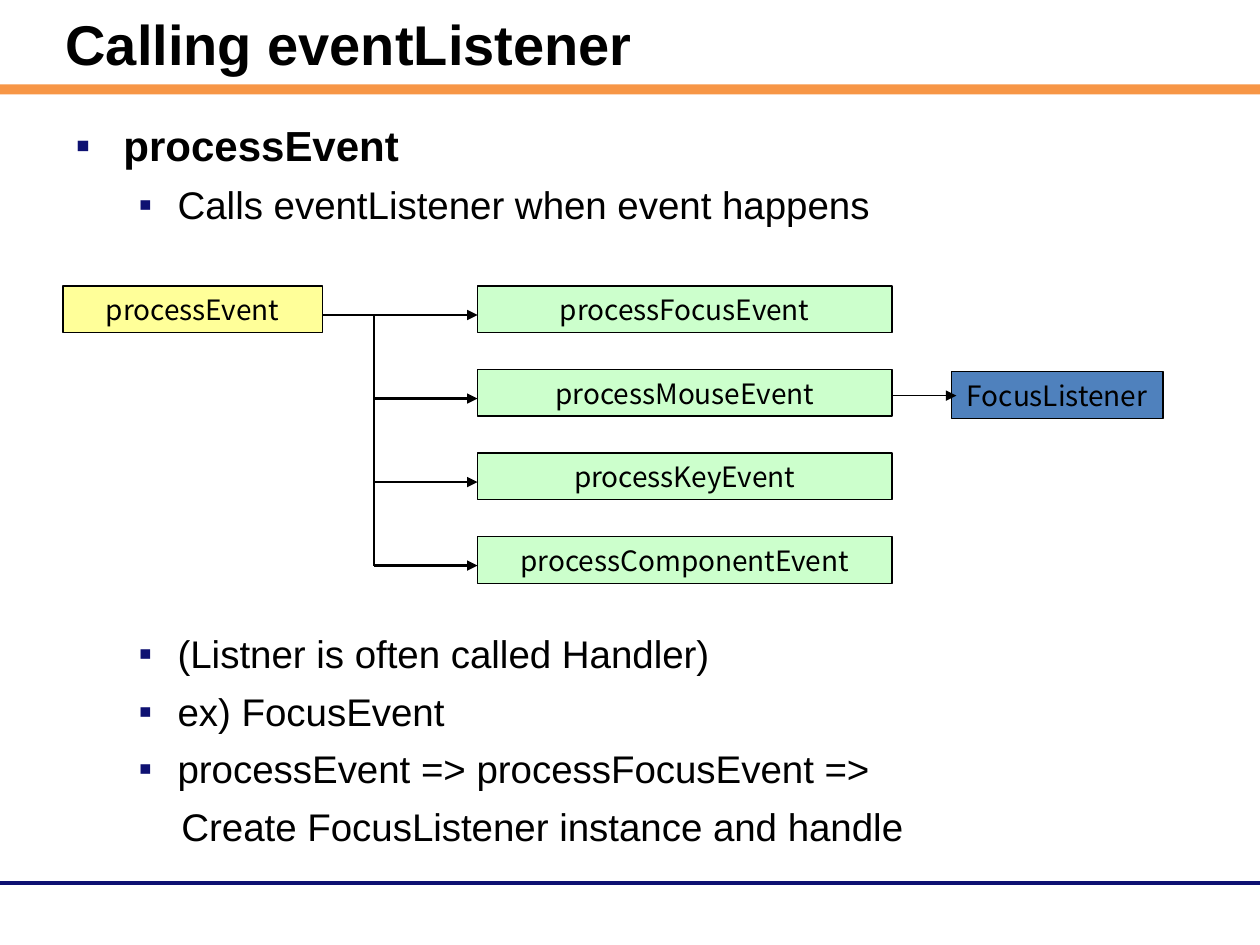
from lxml import etree
from pptx import Presentation
from pptx import util as u
from pptx.dml.color import RGBColor
from pptx.enum import shapes, text
from pptx.oxml.ns import qn
from pptx.util import Inches, Pt

BLACK = RGBColor(0x00, 0x00, 0x00)
NAVY = RGBColor(0x0E, 0x11, 0x72)
ORANGE = RGBColor(0xF7, 0x96, 0x46)
YELLOW = RGBColor(0xFF, 0xFF, 0x99)
GREEN = RGBColor(0xCC, 0xFF, 0xCC)
BLUE = RGBColor(0x4F, 0x81, 0xBD)
TEXT_FONT = "Arial"
DIAGRAM_FONT = "Noto Sans CJK KR"

HANDLERS = ["processFocusEvent", "processMouseEvent",
            "processKeyEvent", "processComponentEvent"]

# wording, level, size, space before, bulleted
DIAGRAM_GAP = 230
POINTS = [
    ("processEvent", 0, 24, 0, True),
    ("Calls eventListener when event happens", 1, 22, 6.5, True),
    ("(Listner is often called Handler)", 1, 22, DIAGRAM_GAP, True),
    ("ex) FocusEvent", 1, 22, 6.5, True),
    ("processEvent => processFocusEvent =>", 1, 22, 6.5, True),
    ("Create FocusListener instance and handle", 1, 22, 6.5, False),
]
INDENTS = [(0.38, -0.38), (0.81, -0.31)]
CONTINUED_INDENT = (0.84, 0)


def place(shape, left, top, width, height):
    shape.left, shape.top = Inches(left), Inches(top)
    shape.width, shape.height = Inches(width), Inches(height)


def style_font(font, name, size, bold=False):
    font.name, font.size, font.bold = name, Pt(size), bold
    font.color.rgb = BLACK


def set_bullet(paragraph, indent, bulleted):
    props = paragraph._p.get_or_add_pPr()
    margin, first_line = indent
    props.set("marL", str(Inches(margin)))
    props.set("indent", str(Inches(first_line)))
    if not bulleted:
        etree.SubElement(props, qn("a:buNone"))
        return
    colour = etree.SubElement(props, qn("a:buClr"))
    etree.SubElement(colour, qn("a:srgbClr"), val=str(NAVY))
    etree.SubElement(props, qn("a:buFont"), typeface=TEXT_FONT)
    etree.SubElement(props, qn("a:buChar"), char="▪")


def add_line(parent, start, end, colour=BLACK, weight=1.5, arrow=False):
    ends = [Inches(value) for value in (*start, *end)]
    line = parent.add_connector(shapes.MSO_CONNECTOR.STRAIGHT, *ends)
    line.line.color.rgb = colour
    line.line.width = Pt(weight)
    if arrow:
        etree.SubElement(line.line._get_or_add_ln(), qn("a:tailEnd"), type="triangle")
    etree.SubElement(line._element.spPr, qn("a:effectLst"))


def add_rect(parent, left, top, width, height, fill):
    rect = parent.add_shape(shapes.MSO_SHAPE.RECTANGLE, Inches(left), Inches(top),
                            Inches(width), Inches(height))
    rect.shadow.inherit = False
    rect.fill.solid()
    rect.fill.fore_color.rgb = fill
    rect.line.fill.background()
    return rect


def add_node(parent, label, left, top, width, height, fill):
    """Outlined diagram box with a centred label."""
    node = add_rect(parent, left, top, width, height, fill)
    node.line.color.rgb = BLACK
    node.line.width = Pt(0.75)
    frame = node.text_frame
    frame.text = label
    frame.word_wrap = False
    frame.vertical_anchor = text.MSO_ANCHOR.MIDDLE
    paragraph = frame.paragraphs[0]
    paragraph.alignment = text.PP_ALIGN.CENTER
    style_font(paragraph.runs[0].font, DIAGRAM_FONT, 16)


def add_frame_lines(slide, width):
    """Orange band under the title and navy rule at the foot."""
    add_line(slide.shapes, (0, 7.01), (width, 7.01), NAVY, 2.25)
    add_rect(slide.shapes, 0, 0.67, width, 0.08, ORANGE)


def fill_title(title, box):
    place(title, *box)
    frame = title.text_frame
    frame.text = "Calling eventListener"
    frame.auto_size = text.MSO_AUTO_SIZE.NONE
    frame.vertical_anchor = text.MSO_ANCHOR.MIDDLE
    paragraph = frame.paragraphs[0]
    paragraph.alignment = text.PP_ALIGN.LEFT
    style_font(paragraph.runs[0].font, TEXT_FONT, 32, bold=True)


def fill_points(body, box):
    place(body, *box)
    frame = body.text_frame
    frame.auto_size = text.MSO_AUTO_SIZE.NONE
    frame.margin_top = Inches(0.09)
    for index, (wording, level, size, before, bulleted) in enumerate(POINTS):
        paragraph = frame.add_paragraph() if index else frame.paragraphs[0]
        paragraph.text = wording
        paragraph.level = level
        set_bullet(paragraph, INDENTS[level] if bulleted else CONTINUED_INDENT, bulleted)
        paragraph.space_before = Pt(before)
        style_font(paragraph.runs[0].font, TEXT_FONT, size, bold=level == 0)


def add_dispatch_diagram(slide, left, top):
    """processEvent branching to its handlers, one of which calls a listener."""
    height, pitch, arrow_drop = 0.37, 0.663, 0.23
    source_width, handler_width = 2.06, 3.29
    trunk, handler_left = left + 2.47, left + 3.29

    tree = slide.shapes.add_group_shape().shapes
    add_node(tree, "processEvent", left, top, source_width, height, YELLOW)
    for row, handler in enumerate(HANDLERS):
        row_top = top + row * pitch
        arrow_y = row_top + arrow_drop
        add_node(tree, handler, handler_left, row_top, handler_width, height, GREEN)
        start = trunk if row else left + source_width
        add_line(tree, (start, arrow_y), (handler_left, arrow_y), arrow=True)
    add_line(tree, (trunk, top + arrow_drop), (trunk, arrow_y))

    listener_y = top + 0.87
    add_node(slide.shapes, "FocusListener", left + 7.05, top + 0.68, 1.68, height, BLUE)
    add_line(slide.shapes, (left + 6.59, listener_y), (left + 7.09, listener_y),
             weight=0.75, arrow=True)


def main():
    deck = Presentation()
    deck.slide_width, deck.slide_height = u.Inches(10), u.Inches(7.5)
    slide = deck.slides.add_slide(deck.slide_layouts[1])
    add_frame_lines(slide, 10)
    fill_title(slide.shapes.title, (0.42, 0.03, 9.18, 0.62))
    fill_points(slide.placeholders[1], (0.5, 0.86, 9, 6.02))
    add_dispatch_diagram(slide, 0.5, 2.27)
    deck.save("out.pptx")


if __name__ == "__main__":
    main()
